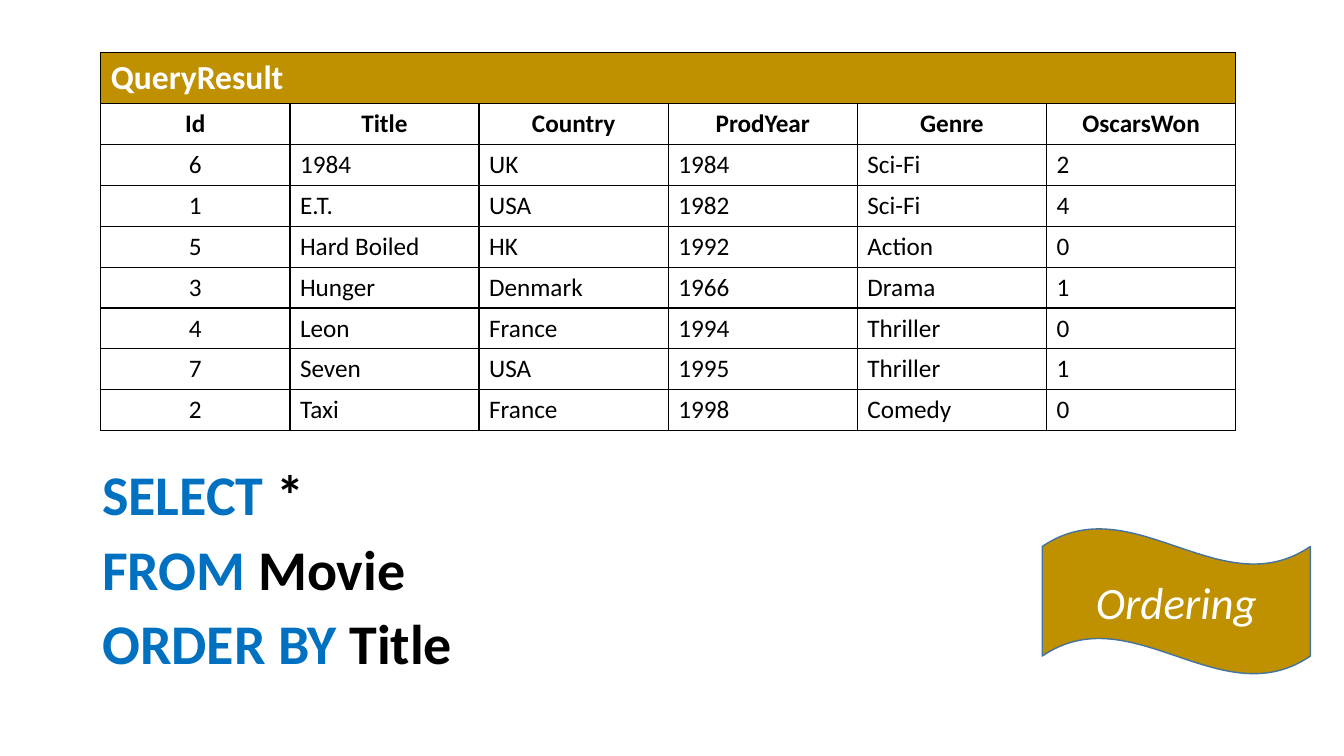
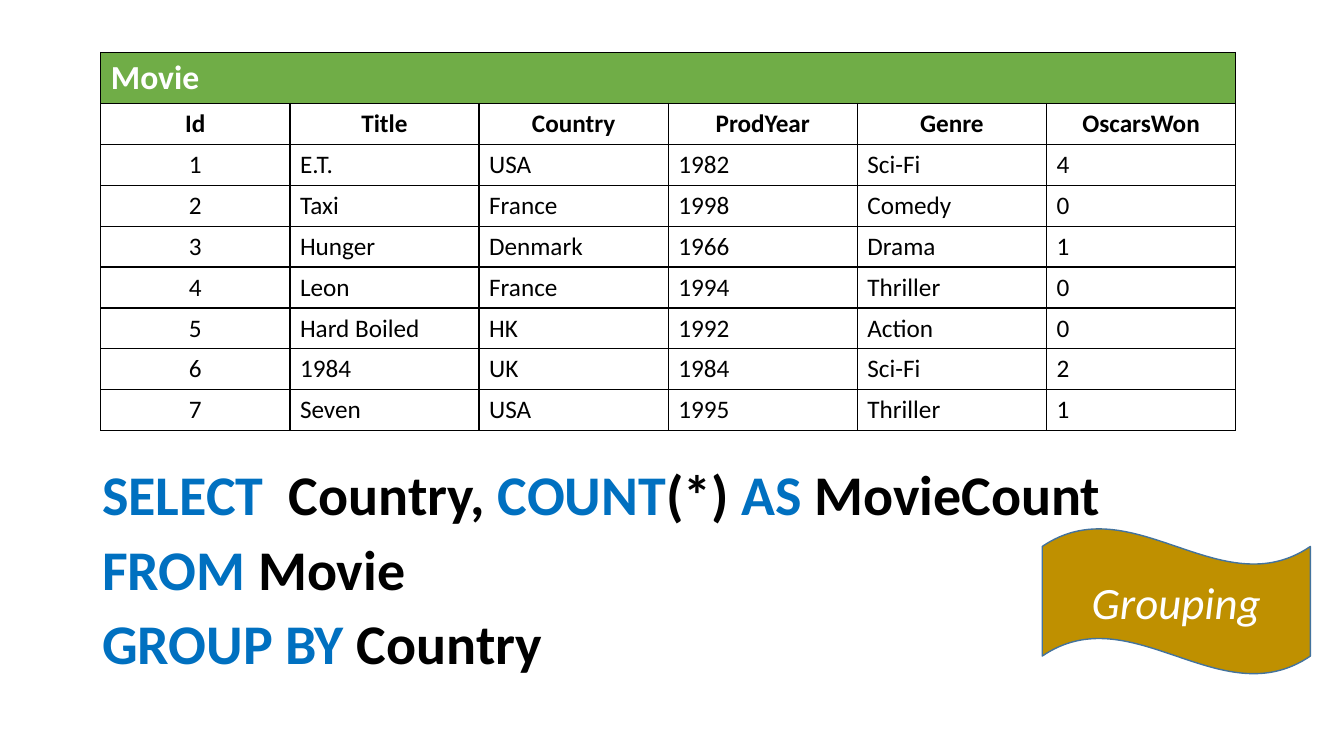
from itertools import cycle

from lxml.etree import SubElement
from pptx import Presentation
from pptx.dml.color import RGBColor
from pptx.enum.shapes import MSO_SHAPE as Shape
from pptx.enum.text import MSO_ANCHOR as Anchor, PP_ALIGN as Align
from pptx.oxml.ns import qn
from pptx.util import Pt

FIELDS = ("Id", "Title", "Country", "ProdYear", "Genre", "OscarsWon")
MOVIES = [
    (1, "E.T.", "USA", 1982, "Sci-Fi", 4),
    (2, "Taxi", "France", 1998, "Comedy", 0),
    (3, "Hunger", "Denmark", 1966, "Drama", 1),
    (4, "Leon", "France", 1994, "Thriller", 0),
    (5, "Hard Boiled", "HK", 1992, "Action", 0),
    (6, "1984", "UK", 1984, "Sci-Fi", 2),
    (7, "Seven", "USA", 1995, "Thriller", 1),
]


def rgb(color):
    return RGBColor.from_string(color)


class Deck:
    FONT = "Calibri"
    BLACK, WHITE = "000000", "FFFFFF"
    GOLD, GREEN = "BF9000", "70AD47"
    KEYWORD, OUTLINE = "0070C0", "43739E"

    def __init__(self):
        self.prs = Presentation()
        self.prs.slide_width, self.prs.slide_height = Pt(960), Pt(540)
        self.slide = None

    def add_slide(self):
        self.slide = self.prs.slides.add_slide(self.prs.slide_layouts[6])

    def style(self, font, size, color, bold=False, italic=False):
        font.name, font.size = self.FONT, Pt(size)
        font.bold, font.italic = bold, italic
        font.color.rgb = rgb(color)

    def border(self, cell):
        """Draw a thin black line on all four sides of a cell."""
        properties = cell._tc.get_or_add_tcPr()
        for side in ("a:lnL", "a:lnR", "a:lnT", "a:lnB"):
            line = SubElement(properties, qn(side), w=str(Pt(1)))
            fill = SubElement(line, qn("a:solidFill"))
            SubElement(fill, qn("a:srgbClr"), val=self.BLACK)

    def fill_cell(self, cell, text, size, color, fill, bold=False, align=Align.LEFT):
        cell.fill.solid()
        cell.fill.fore_color.rgb = rgb(fill)
        paragraph = cell.text_frame.paragraphs[0]
        paragraph.text = str(text)
        paragraph.alignment = align
        self.style(paragraph.font, size, color, bold)

    def relation(self, name, band_color, records):
        """Add a table with a name band, a field row and the records."""
        rows = [FIELDS, *records]
        name_height, row_height = 36.5, 29.2
        table = self.slide.shapes.add_table(
            len(rows) + 1, len(FIELDS), Pt(72), Pt(37.5), Pt(810.6),
            Pt(name_height + row_height * len(rows))).table
        table.first_row = table.horz_banding = False
        for row in table.rows:
            row.height = Pt(row_height)
        table.rows[0].height = Pt(name_height)
        for cell in table.iter_cells():
            self.border(cell)

        band = table.cell(0, 0)
        band.merge(table.cell(0, len(FIELDS) - 1))
        self.fill_cell(band, name, 24, self.WHITE, band_color, bold=True)
        for r, values in enumerate(rows, start=1):
            for c, value in enumerate(values):
                is_field = r == 1
                align = Align.CENTER if is_field or c == 0 else Align.LEFT
                self.fill_cell(table.cell(r, c), value, 18, self.BLACK,
                               self.WHITE, is_field, align)

    def query(self, *clauses):
        """Add SQL clauses, each given as alternating keyword and plain parts."""
        frame = self.slide.shapes.add_textbox(
            Pt(66), Pt(330.5), Pt(828), Pt(185)).text_frame
        frame.word_wrap = True
        for i, parts in enumerate(clauses):
            paragraph = frame.add_paragraph() if i else frame.paragraphs[0]
            paragraph.line_spacing = 0.9
            paragraph.space_before = Pt(10 if i else 0)
            for part, color in zip(parts, cycle((self.KEYWORD, self.BLACK))):
                run = paragraph.add_run()
                run.text = part
                self.style(run.font, 40, color, bold=True)

    def topic_flag(self, topic):
        flag = self.slide.shapes.add_shape(
            Shape.WAVE, Pt(744.5), Pt(377.3), Pt(191.5), Pt(104.4))
        flag.shadow.inherit = False
        flag.fill.solid()
        flag.fill.fore_color.rgb = rgb(self.GOLD)
        flag.line.color.rgb = rgb(self.OUTLINE)
        flag.line.width = Pt(1)
        frame = flag.text_frame
        frame.text = topic
        frame.vertical_anchor = Anchor.MIDDLE
        paragraph = frame.paragraphs[0]
        paragraph.alignment = Align.CENTER
        self.style(paragraph.runs[0].font, 32, self.WHITE, italic=True)


def main():
    deck = Deck()

    deck.add_slide()
    by_title = sorted(MOVIES, key=lambda movie: movie[1])
    deck.relation("QueryResult", deck.GOLD, by_title)
    deck.query(("SELECT", " *"), ("FROM", " Movie"), ("ORDER BY", " Title"))
    deck.topic_flag("Ordering")

    deck.add_slide()
    deck.query(("SELECT", "  Country, ", "COUNT", "(*) ", "AS", " MovieCount"),
               ("FROM", " Movie"), ("GROUP BY ", "Country"))
    deck.relation("Movie", deck.GREEN, MOVIES)
    deck.topic_flag("Grouping")

    deck.prs.save("out.pptx")


if __name__ == "__main__":
    main()
